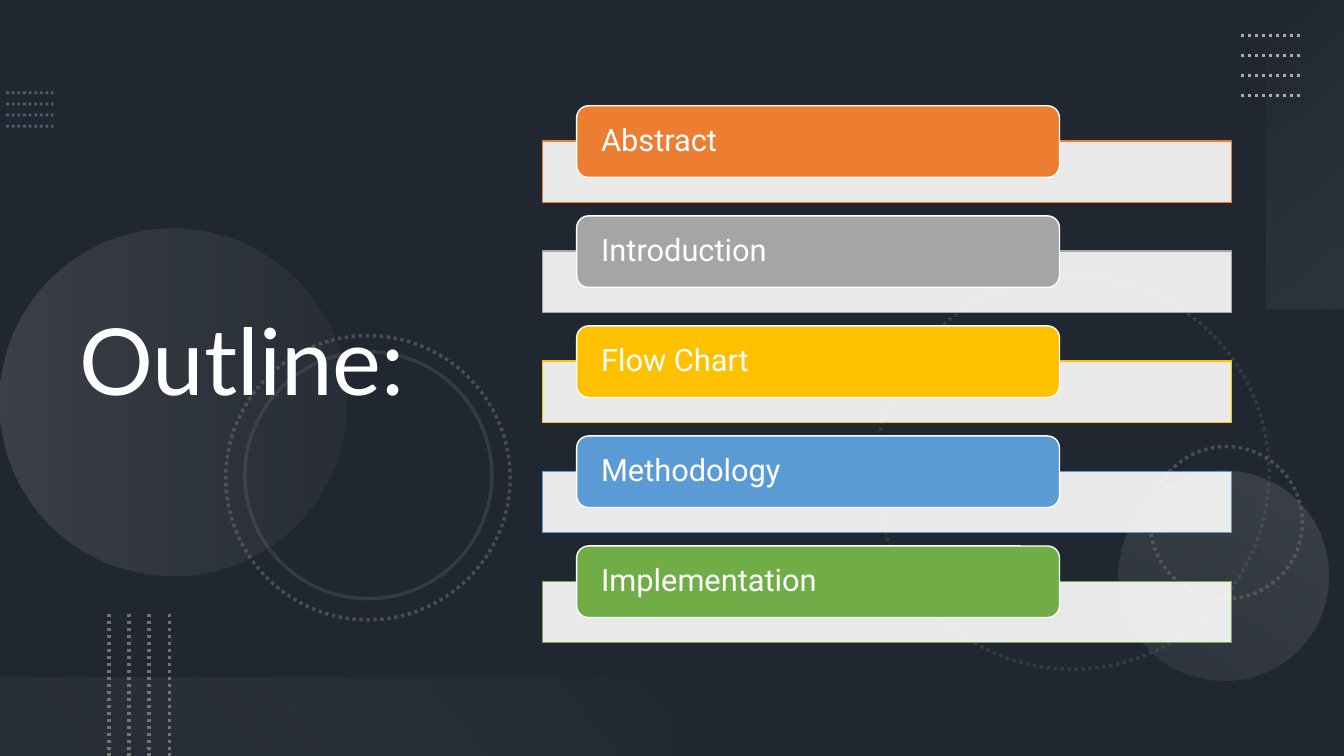
from lxml.etree import SubElement
from pptx import Presentation
from pptx.dml.color import RGBColor
from pptx.enum.dml import MSO_LINE
from pptx.enum.shapes import MSO_CONNECTOR, MSO_SHAPE
from pptx.enum.text import MSO_ANCHOR, PP_ALIGN
from pptx.oxml.ns import qn
from pptx.util import Inches, Pt

WHITE = RGBColor(0xFF, 0xFF, 0xFF)
BLACK = RGBColor(0x00, 0x00, 0x00)
SLATE = RGBColor(0x44, 0x54, 0x6A)
STEEL = RGBColor(0x84, 0x97, 0xB0)
DARK_GRAY = RGBColor(0x76, 0x71, 0x71)
MID_GRAY = RGBColor(0xAF, 0xAB, 0xAB)
PALE_GRAY = RGBColor(0xF5, 0xF5, 0xF5)
ORANGE = RGBColor(0xED, 0x7D, 0x31)
GRAY = RGBColor(0xA5, 0xA5, 0xA5)
GOLD = RGBColor(0xFF, 0xC0, 0x00)
BLUE = RGBColor(0x5B, 0x9B, 0xD5)
GREEN = RGBColor(0x70, 0xAD, 0x47)

prs = Presentation()
prs.slide_width, prs.slide_height = Inches(13.33), Inches(7.5)
COLS, ROWS = 64, 36
COL, ROW = prs.slide_width / COLS, prs.slide_height / ROWS
slide = prs.slides.add_slide(prs.slide_layouts[5])
slide.background.fill.solid()
slide.background.fill.fore_color.rgb = SLATE


def add_shape(kind, x, y, w, h, rotation=0):
    """Add a shape, placed in grid columns and rows, without fill, line or shadow."""
    sp = slide.shapes.add_shape(kind, int(x * COL), int(y * ROW), int(w * COL), int(h * ROW))
    sp.rotation = rotation
    sp.shadow.inherit = False
    sp.fill.background()
    sp.line.fill.background()
    return sp


def set_opacity(sp, *percents):
    """Give the shape's colours, fill before line, their opacity in turn."""
    colors = list(sp._element.spPr.iter(qn("a:srgbClr")))
    for color, percent in zip(colors, percents):
        SubElement(color, qn("a:alpha")).set("val", str(percent * 1000))


shade = add_shape(MSO_SHAPE.RECTANGLE, 0, 0, COLS, ROWS)
shade.fill.solid()
shade.fill.fore_color.rgb = BLACK
set_opacity(shade, 53)

# Dotted lines: start, end, step to the next line, colour, width, opacity
dot_groups = [
    ((0.29, 4.42), (2.54, 4.42), (0, 0.53), STEEL, 2, 50),
    ((59.09, 1.68), (61.97, 1.68), (0, 0.96), MID_GRAY, 2.5, 100),
    ((5.18, 29.23), (5.18, ROWS), (0.96, 0), DARK_GRAY, 2.5, 100),
]
for (x1, y1), (x2, y2), (dx, dy), color, width, opacity in dot_groups:
    for i in range(4):
        dots = slide.shapes.add_connector(
            MSO_CONNECTOR.STRAIGHT,
            int((x1 + i * dx) * COL), int((y1 + i * dy) * ROW),
            int((x2 + i * dx) * COL), int((y2 + i * dy) * ROW))
        dots.line.color.rgb = color
        dots.line.width = Pt(width)
        dots.line.dash_style = MSO_LINE.ROUND_DOT
        set_opacity(dots, opacity)
        SubElement(dots._element.spPr, qn("a:effectLst"))

# Gradient shapes: kind, box, rotation, clockwise angle, stops (position, colour, opacity)
gradients = [
    (MSO_SHAPE.OVAL, (0, 10.9, 16.51, 16.51), 270, 90,
     [(0, MID_GRAY, 20), (1, DARK_GRAY, 10)]),
    (MSO_SHAPE.OVAL, (53.28, 22.42, 9.98, 9.98), 210, 90,
     [(0, MID_GRAY, 10), (1, MID_GRAY, 20)]),
    (MSO_SHAPE.RECTANGLE, (54.82, 5.47, 14.69, 3.74), 270, 140,
     [(0, PALE_GRAY, 0), (1, MID_GRAY, 10)]),
    (MSO_SHAPE.RECTANGLE, (0, 32.26, 32, 3.74), 180, 140,
     [(0.1, DARK_GRAY, 10), (1, PALE_GRAY, 0)]),
]
for kind, box, rotation, angle, stops in gradients:
    sp = add_shape(kind, *box, rotation)
    sp.fill.gradient()
    sp.fill.gradient_angle = 360 - angle
    for stop, (position, color, _) in zip(sp.fill.gradient_stops, stops):
        stop.position = position
        stop.color.rgb = color
    set_opacity(sp, *(opacity for _, _, opacity in stops))

# Rings: left, top, diameter, rotation, dash, opacity
rings = [
    (41.71, 13.15, 18.72, 75, MSO_LINE.ROUND_DOT, 25),
    (54.77, 21.26, 7.25, 270, MSO_LINE.ROUND_DOT, 50),
    (10.75, 15.98, 13.54, 75, MSO_LINE.ROUND_DOT, 50),
    (11.66, 16.75, 11.76, 75, MSO_LINE.SOLID, 25),
]
for x, y, size, rotation, dash, opacity in rings:
    ring = add_shape(MSO_SHAPE.OVAL, x, y, size, size, rotation)
    ring.line.color.rgb = DARK_GRAY
    ring.line.width = Pt(2.5)
    ring.line.dash_style = dash
    set_opacity(ring, opacity)

title = slide.shapes.title
slide.shapes._spTree.append(title._element)
title.left, title.top = int(3.31 * COL), int(2.59 * ROW)
title.width, title.height = int(22.03 * COL), int(29.62 * ROW)
tf = title.text_frame
tf.text = "Outline:"
tf.word_wrap = True
tf.vertical_anchor = MSO_ANCHOR.MIDDLE
p = tf.paragraphs[0]
p.alignment = PP_ALIGN.LEFT
p.line_spacing = 0.9
font = p.runs[0].font
font.name, font.size, font.color.rgb = "Lato", Pt(66), WHITE

topics = [("Abstract", ORANGE), ("Introduction", GRAY), ("Flow Chart", GOLD),
          ("Methodology", BLUE), ("Implementation", GREEN)]
PITCH = 5.24
for i, (topic, color) in enumerate(topics):
    bar = add_shape(MSO_SHAPE.RECTANGLE, 25.82, 6.72 + i * PITCH, 32.83, 2.93)
    tab = add_shape(MSO_SHAPE.ROUNDED_RECTANGLE, 27.46, 5.04 + i * PITCH, 22.99, 3.41)
    for sp, fill, line in ((bar, WHITE, color), (tab, color, WHITE)):
        sp.fill.solid()
        sp.fill.fore_color.rgb = fill
        sp.line.color.rgb = line
        sp.line.width = Pt(1)
    set_opacity(bar, 90)

    tf = tab.text_frame
    tf.text = topic
    tf.word_wrap = True
    tf.vertical_anchor = MSO_ANCHOR.MIDDLE
    tf.margin_left = tf.margin_right = int(COL)
    tf.margin_top = tf.margin_bottom = 0
    p = tf.paragraphs[0]
    p.alignment = PP_ALIGN.LEFT
    p.line_spacing = 0.9
    font = p.runs[0].font
    font.name, font.size, font.color.rgb = "Roboto", Pt(22), WHITE

prs.save("out.pptx")
